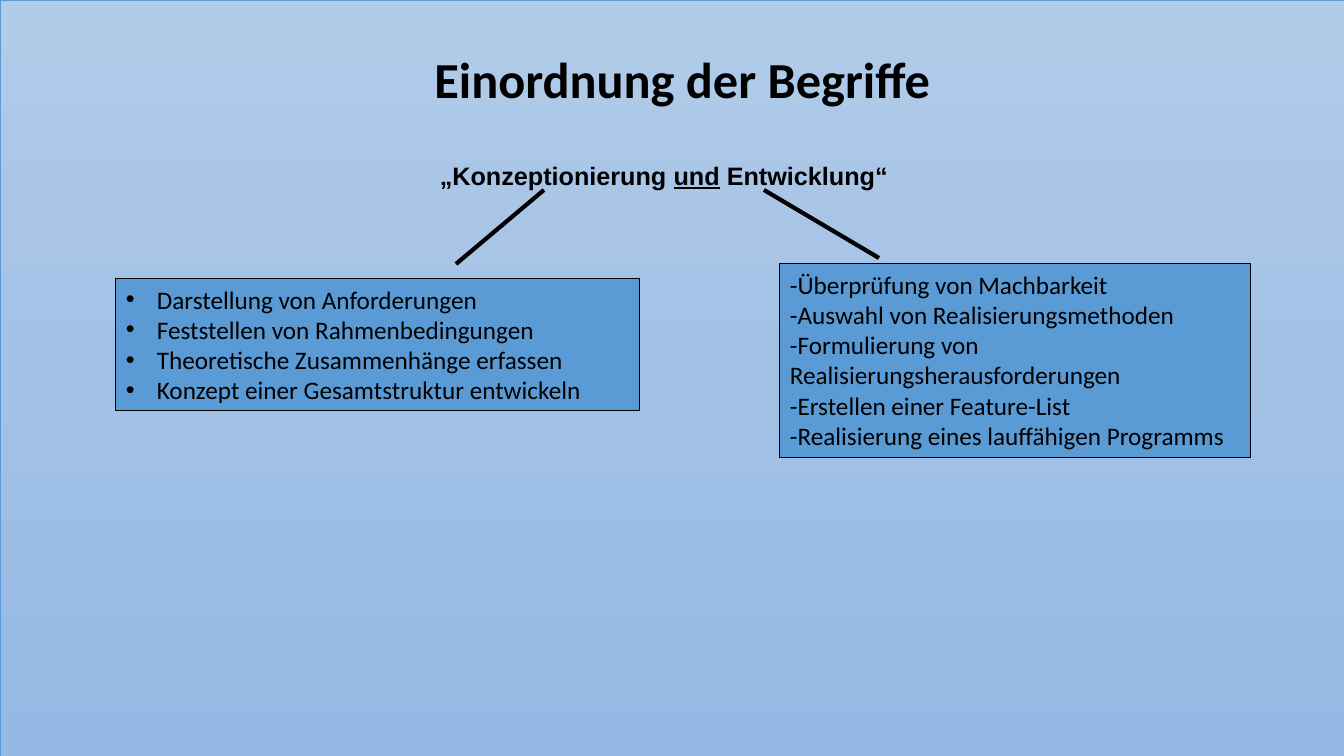
"""Build the slide that sorts the terms concept and development."""
from copy import deepcopy

from lxml.etree import SubElement
from pptx import Presentation
from pptx.dml.color import RGBColor
from pptx.enum.shapes import MSO_CONNECTOR as Connector, MSO_SHAPE as Shape
from pptx.enum.text import MSO_ANCHOR as Anchor, MSO_AUTO_SIZE as AutoSize, PP_ALIGN as Align
from pptx.oxml.ns import qn
from pptx.util import Pt

PX = 914400 / 100.8
WIDTH, HEIGHT = 1344, 756
COLORS = {"ink": "000000", "blue": "5B9BD5",
          "top": "B1CBE9", "middle": "A3C1E5", "bottom": "93B9E4"}
GRADIENT = [(0, "top"), (0.5, "middle"), (1, "bottom")]
HANG = 31

TITLE = ("Einordnung der Begriffe", (103, 9, 1159, 146))
PHRASE = [("„Konzeptionierung ", False), ("und", True), (" Entwicklung“", False)]
PHRASE_AREA = (430, 155, 471, 40)
PANELS = [
    ((116, 279, 524, 132), True, [
        "Darstellung von Anforderungen",
        "Feststellen von Rahmenbedingungen",
        "Theoretische Zusammenhänge erfassen",
        "Konzept einer Gesamtstruktur entwickeln",
    ]),
    ((780, 264, 471, 194), False, [
        "-Überprüfung von Machbarkeit",
        "-Auswahl von Realisierungsmethoden",
        "-Formulierung von Realisierungsherausforderungen",
        "-Erstellen einer Feature-List",
        "-Realisierung eines lauffähigen Programms",
    ]),
]
BRANCHES = [(544, 190, 456, 264), (764, 190, 879, 258)]


def emu(*lengths):
    return [round(length * PX) for length in lengths]


def color(name):
    return RGBColor.from_string(COLORS[name])


def set_line(line, name, width):
    line.color.rgb = color(name)
    line.width = Pt(width)


def add_span(para, text, size, font="Calibri", bold=False, underline=False):
    span = para.add_run()
    span.text = text
    span.font.name = font
    span.font.size = Pt(size)
    span.font.bold = bold
    span.font.underline = underline
    span.font.color.rgb = color("ink")


def add_bullet(para):
    props = para._p.get_or_add_pPr()
    hang = emu(HANG)[0]
    props.set("marL", str(hang))
    props.set("indent", str(-hang))
    SubElement(props, qn("a:buFont"), typeface="Arial")
    SubElement(props, qn("a:buChar"), char="•")


def add_rectangle(page, area, line_color, line_width):
    box = page.shapes.add_shape(Shape.RECTANGLE, *emu(*area))
    box.shadow.inherit = False
    set_line(box.line, line_color, line_width)
    return box


def add_backdrop(page):
    box = add_rectangle(page, (0, 0, WIDTH, HEIGHT), "blue", 0.5)
    box.fill.gradient()
    box.fill.gradient_angle = 270
    stops = box.element.find(".//" + qn("a:gsLst"))
    stops.insert(1, deepcopy(stops[0]))
    for stop, (position, name) in zip(box.fill.gradient_stops, GRADIENT):
        stop.position = position
        stop.color.rgb = color(name)
    page.shapes.title.element.addprevious(box.element)


def add_title(page):
    text, area = TITLE
    box = page.shapes.title
    box.left, box.top, box.width, box.height = emu(*area)
    box.text_frame.vertical_anchor = Anchor.MIDDLE
    para = box.text_frame.paragraphs[0]
    para.alignment = Align.CENTER
    para.line_spacing = 0.9
    add_span(para, text, 36, bold=True)


def add_phrase(page):
    frame = page.shapes.add_textbox(*emu(*PHRASE_AREA)).text_frame
    frame.word_wrap = True
    frame.auto_size = AutoSize.SHAPE_TO_FIT_TEXT
    for text, underline in PHRASE:
        add_span(frame.paragraphs[0], text, 18, "Arial", True, underline)


def add_panel(page, area, bulleted, lines):
    box = add_rectangle(page, area, "ink", 0.75)
    box.fill.solid()
    box.fill.fore_color.rgb = color("blue")
    frame = box.text_frame
    frame.word_wrap = True
    frame.auto_size = AutoSize.SHAPE_TO_FIT_TEXT
    frame.vertical_anchor = Anchor.TOP
    for index, text in enumerate(lines):
        para = frame.add_paragraph() if index else frame.paragraphs[0]
        para.alignment = Align.LEFT
        if bulleted:
            add_bullet(para)
        add_span(para, text, 18)


def add_branch(page, ends):
    branch = page.shapes.add_connector(Connector.STRAIGHT, *emu(*ends))
    set_line(branch.line, "ink", 3)
    SubElement(branch.element.spPr, qn("a:effectLst"))


def main():
    deck = Presentation()
    deck.slide_width, deck.slide_height = emu(WIDTH, HEIGHT)
    page = deck.slides.add_slide(deck.slide_layouts[5])
    add_backdrop(page)
    add_title(page)
    add_phrase(page)
    for area, bulleted, lines in PANELS:
        add_panel(page, area, bulleted, lines)
    for ends in BRANCHES:
        add_branch(page, ends)
    deck.save("out.pptx")


if __name__ == "__main__":
    main()
